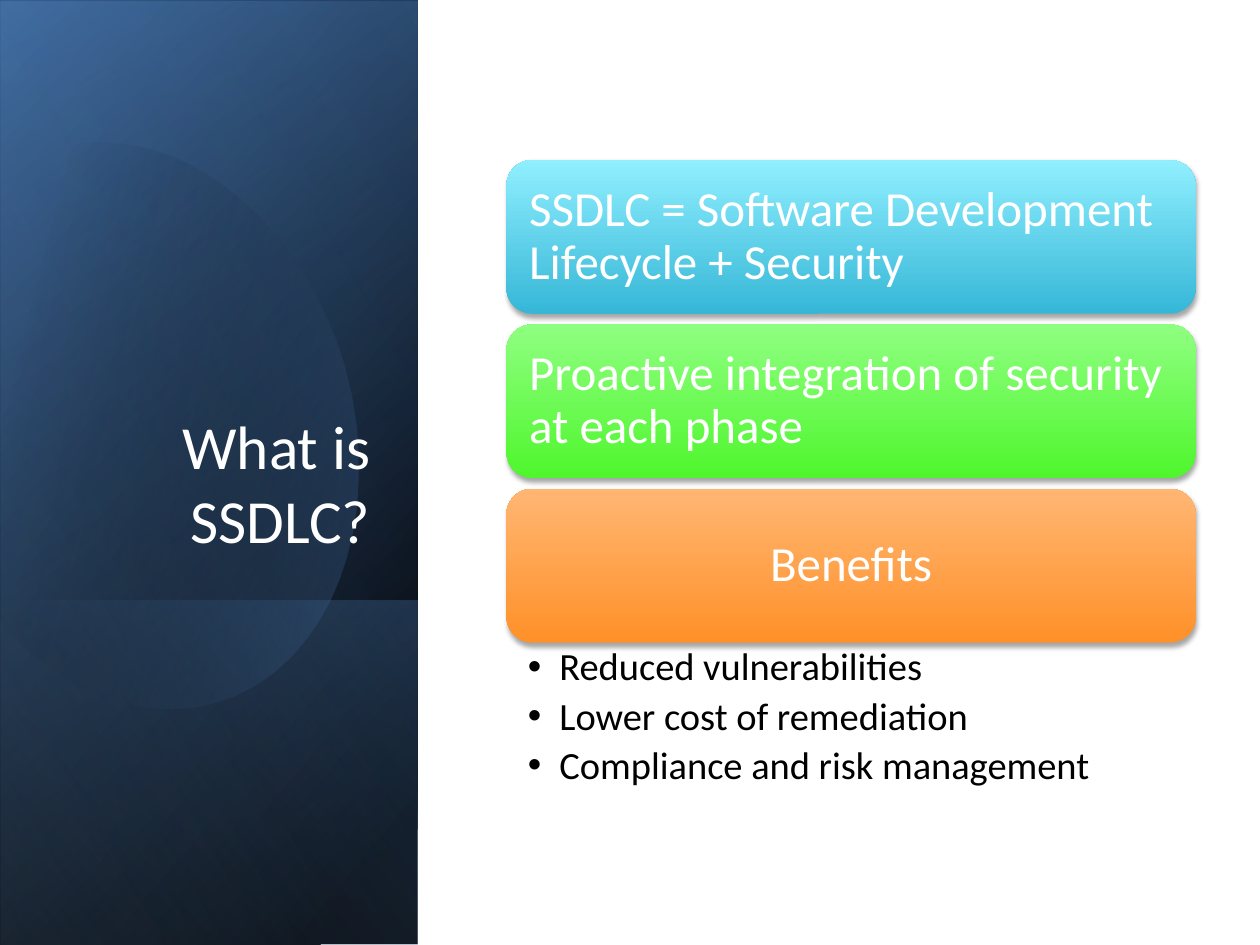
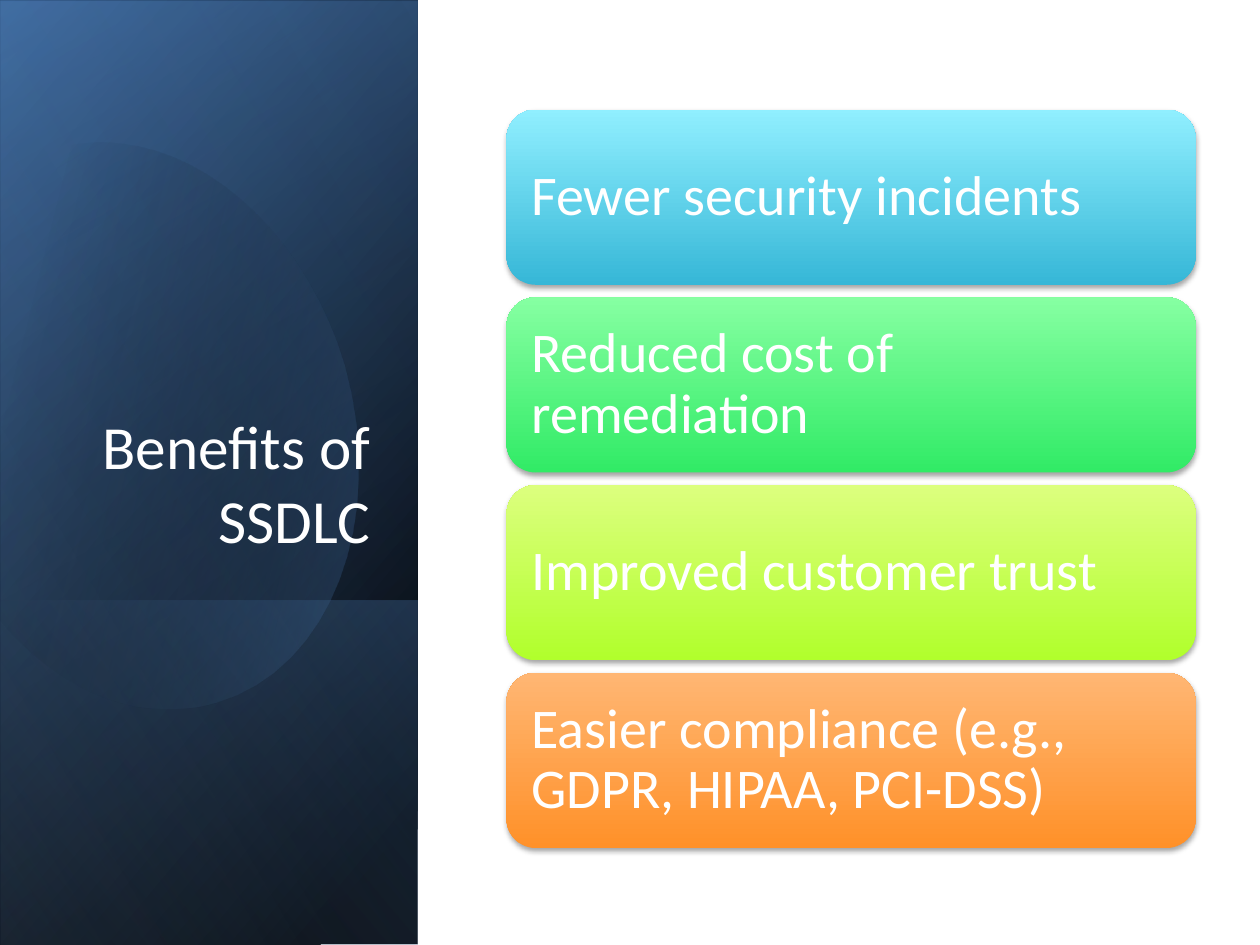
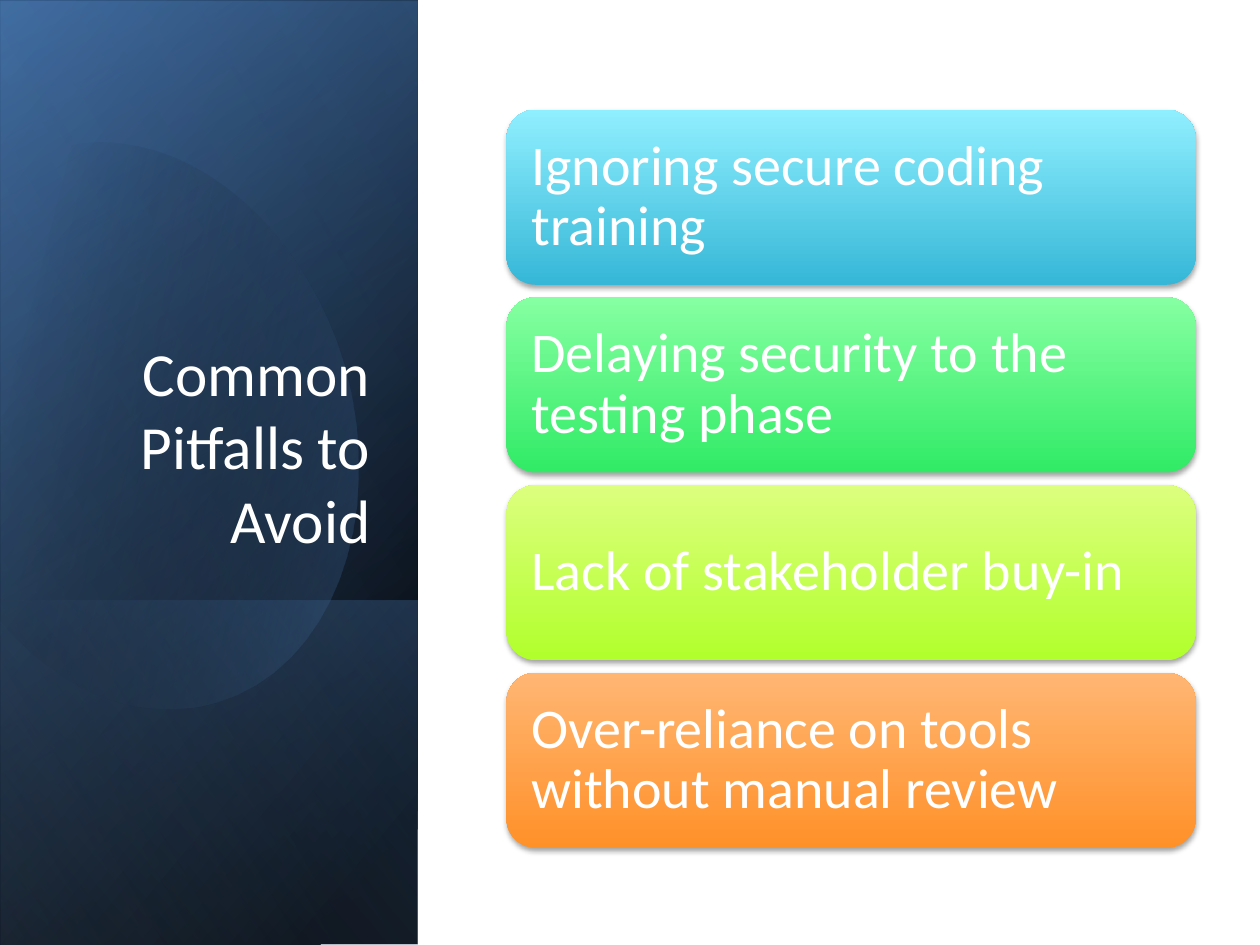
import math
from dataclasses import dataclass

from lxml import etree
from pptx import Presentation
from pptx import util as u
from pptx.dml.color import RGBColor
from pptx.enum import shapes, text
from pptx.oxml.ns import qn


@dataclass(frozen=True)
class Theme:
    font: str = "Calibri"
    light: str = "FFFFFF"
    dark: str = "000000"
    navy: str = "366092"
    blue: str = "4F81BD"
    pale_blue: str = "93B3D7"
    # Card colours run from the bottom edge to the top edge.
    cyan: tuple = ("36B7D7", "90EFFF")
    green: tuple = ("4FF62D", "8FFF81")
    mint: tuple = ("31EB66", "86FFA2")
    lime: tuple = ("B1FF2C", "DCFF7E")
    orange: tuple = ("FF9129", "FFB673")
    title_size: float = 35
    list_size: float = 22


TITLE_AND_CONTENT, TITLE_ONLY = 1, 5
CARD_LEFT, CARD_WIDTH = 4.02, 5.47

# The oval on the side panel: a start point, then Bézier curves and straight edges.
OVAL_START = (0.96, 1.14)
OVAL_CURVES = [
    [(1.71, 1.22), (2.44, 1.92), (2.73, 2.9)],
    [(3.07, 4.12), (2.62, 5.31), (1.71, 5.57)],
    [(1.14, 5.74), (0.53, 5.5), (0.07, 5)],
    [(-0.03, 4.88)],
    [(-0.25, 1.66)],
    [(-0.15, 1.54)],
    [(0.02, 1.37), (0.22, 1.25), (0.45, 1.18)],
    [(0.62, 1.13), (0.79, 1.12), (0.96, 1.14)],
]
OVAL_CENTER = (1.19, 3.35)
OVAL_ROTATION = 343.9


def add_xml(parent, tag, **attributes):
    values = {name: str(value) for name, value in attributes.items()}
    return etree.SubElement(parent, qn(tag), values)


def add_color(parent, color, opacity=100):
    node = add_xml(parent, "a:srgbClr", val=color)
    if opacity < 100:
        add_xml(node, "a:alpha", val=opacity * 1000)


def bezier_points(start, controls, steps=16):
    """Points along a cubic curve, or the end point of a straight edge."""
    if len(controls) == 1:
        return controls
    curve = [start, *controls]
    return [
        tuple(
            sum(math.comb(3, k) * (1 - t) ** (3 - k) * t**k * curve[k][axis] for k in range(4))
            for axis in (0, 1)
        )
        for t in (step / steps for step in range(1, steps + 1))
    ]


def turn(point, center, degrees):
    angle = math.radians(degrees)
    dx, dy = point[0] - center[0], point[1] - center[1]
    return (
        center[0] + dx * math.cos(angle) - dy * math.sin(angle),
        center[1] + dx * math.sin(angle) + dy * math.cos(angle),
    )


class Deck:
    def __init__(self, theme):
        self.theme = theme
        self.prs = Presentation()
        self.prs.slide_width, self.prs.slide_height = u.Inches(10), u.Inches(7.5)
        self.slide = None

    def start(self, heading, layout):
        self.slide = self.prs.slides.add_slide(self.prs.slide_layouts[layout])
        self.side_panel()
        self.title(heading)

    def place(self, shape, left, top, width, height):
        shape.left, shape.top = u.Inches(left), u.Inches(top)
        shape.width, shape.height = u.Inches(width), u.Inches(height)

    def frame(self, shape, anchor, insets):
        frame = shape.text_frame
        frame.word_wrap = True
        frame.auto_size = text.MSO_AUTO_SIZE.NONE
        frame.vertical_anchor = anchor
        (frame.margin_left, frame.margin_top,
         frame.margin_right, frame.margin_bottom) = map(u.Inches, insets)
        return frame

    def style(self, paragraph, size, color, align=text.PP_ALIGN.LEFT):
        paragraph.alignment = align
        for run in paragraph.runs:
            run.font.name = self.theme.font
            run.font.size = u.Pt(size)
            run.font.color.rgb = RGBColor.from_string(color)

    def gradient(self, shape, stops, angle):
        """Fill with (position, color[, opacity]) stops, without line or shadow."""
        shape.fill.gradient()
        shape.fill.gradient_angle = 360 - angle
        stop_list = shape.element.spPr.find(qn("a:gradFill")).find(qn("a:gsLst"))
        stop_list.clear()
        for position, *color in stops:
            add_color(add_xml(stop_list, "a:gs", pos=position * 1000), *color)
        shape.line.fill.background()
        shape.shadow.inherit = False

    def drop_shadow(self, shape):
        effects = shape.element.spPr.find(qn("a:effectLst"))
        shadow = add_xml(effects, "a:outerShdw", blurRad=u.Pt(3.1), dist=u.Pt(1.8),
                         dir=90 * 60000, rotWithShape=0)
        add_color(shadow, self.theme.dark, 35)

    def band(self, left, top, length, stops, angle):
        """A panel layer, drawn lying down, mirrored and turned upright."""
        layer = self.slide.shapes.add_shape(
            shapes.MSO_SHAPE.RECTANGLE, *map(u.Inches, (left, top, length, 3.31)))
        layer.rotation = 90
        layer.element.spPr.find(qn("a:xfrm")).set("flipH", "1")
        self.gradient(layer, stops, angle)

    def oval(self):
        outline = [OVAL_START]
        for controls in OVAL_CURVES:
            outline += bezier_points(outline[-1], controls)
        upright = [
            tuple(map(u.Inches, turn(point, OVAL_CENTER, 360 - OVAL_ROTATION)))
            for point in outline
        ]
        builder = self.slide.shapes.build_freeform(*upright[0])
        builder.add_line_segments(upright[1:], close=True)
        oval = builder.convert_to_shape()
        oval.rotation = OVAL_ROTATION
        dark, blue = self.theme.dark, self.theme.blue
        self.gradient(oval, [(0, dark, 0), (29, dark, 0), (100, blue, 43)], 30)

    def side_panel(self):
        dark, blue, pale = self.theme.dark, self.theme.blue, self.theme.pale_blue
        self.band(-2.09, 2.09, 7.5, [(0, dark), (8, dark), (100, self.theme.navy)], 50)
        self.band(-2.09, 2.11, 7.5, [(0, dark, 0), (99, blue, 46), (100, blue, 46)], 30)
        self.band(0.29, 4.48, 2.74, [(0, blue, 29), (2, blue, 29), (100, dark, 30)], 130)
        self.oval()
        self.band(-2.09, 2.09, 7.5, [(0, dark, 0), (99, pale, 11), (100, pale, 11)], 120)

    def title(self, heading):
        title = self.slide.shapes.title
        title.element.getparent().append(title.element)  # in front of the panel
        self.place(title, 0.48, 1.84, 2.56, 2.62)
        frame = self.frame(title, text.MSO_ANCHOR.BOTTOM, (0.1, 0.05, 0.1, 0.05))
        frame.text = heading
        self.style(frame.paragraphs[0], self.theme.title_size, self.theme.light,
                   text.PP_ALIGN.RIGHT)

    def card(self, label, colors, top, height, size, inset, align):
        card = self.slide.shapes.add_shape(
            shapes.MSO_SHAPE.ROUNDED_RECTANGLE,
            *map(u.Inches, (CARD_LEFT, top, CARD_WIDTH, height)))
        bottom_color, top_color = colors
        self.gradient(card, [(0, bottom_color), (100, top_color)], 270)
        self.drop_shadow(card)
        frame = self.frame(card, text.MSO_ANCHOR.MIDDLE, [inset] * 4)
        frame.text = label
        frame.paragraphs[0].line_spacing = 0.9
        self.style(frame.paragraphs[0], size, self.theme.light, align)

    def cards(self, entries, top, pitch, height, size, inset):
        """Stack (label, colors[, alignment]) cards at an equal pitch."""
        for row, (label, colors, *align) in enumerate(entries):
            self.card(label, colors, top + row * pitch, height, size, inset,
                      align[0] if align else text.PP_ALIGN.LEFT)

    def four_cards(self, labels):
        theme = self.theme
        colors = (theme.cyan, theme.mint, theme.lime, theme.orange)
        self.cards(zip(labels, colors), top=0.87, pitch=1.49, height=1.39, size=32, inset=0.13)

    def bullets(self, items, top, height):
        body = self.slide.placeholders[1]
        body.element.getparent().append(body.element)
        self.place(body, CARD_LEFT, top, CARD_WIDTH, height)
        frame = self.frame(body, text.MSO_ANCHOR.TOP, (0.17, 0.04, 0.22, 0.04))
        frame.text = "\n".join(items)
        for row, paragraph in enumerate(frame.paragraphs):
            paragraph.level = 1
            paragraph.line_spacing = 0.9
            paragraph.space_before = u.Pt(4.4 if row else 0)
            self.style(paragraph, self.theme.list_size, self.theme.dark)
            properties = paragraph._p.get_or_add_pPr()
            properties.set("marL", str(u.Inches(0.25)))
            properties.set("indent", str(u.Inches(-0.25)))
            add_color(add_xml(properties, "a:buClr"), self.theme.dark)
            add_xml(properties, "a:buFont", typeface="Arial")
            add_xml(properties, "a:buChar", char="•")


def main():
    theme = Theme()
    deck = Deck(theme)

    deck.start("What is SSDLC?", TITLE_AND_CONTENT)
    deck.cards(
        [
            ("SSDLC = Software Development Lifecycle + Security", theme.cyan),
            ("Proactive integration of security at each phase", theme.green),
            ("Benefits", theme.orange, text.PP_ALIGN.CENTER),
        ],
        top=1.27, pitch=1.305, height=1.22, size=28, inset=0.12,
    )
    deck.bullets(
        ["Reduced vulnerabilities", "Lower cost of remediation",
         "Compliance and risk management"],
        top=5.1, height=1.24,
    )

    deck.start("Benefits of SSDLC", TITLE_ONLY)
    deck.four_cards([
        "Fewer security incidents",
        "Reduced cost of remediation",
        "Improved customer trust",
        "Easier compliance (e.g., GDPR, HIPAA, PCI-DSS)",
    ])

    deck.start("Common Pitfalls to Avoid", TITLE_ONLY)
    deck.four_cards([
        "Ignoring secure coding training",
        "Delaying security to the testing phase",
        "Lack of stakeholder buy-in",
        "Over-reliance on tools without manual review",
    ])

    deck.prs.save("out.pptx")


if __name__ == "__main__":
    main()
